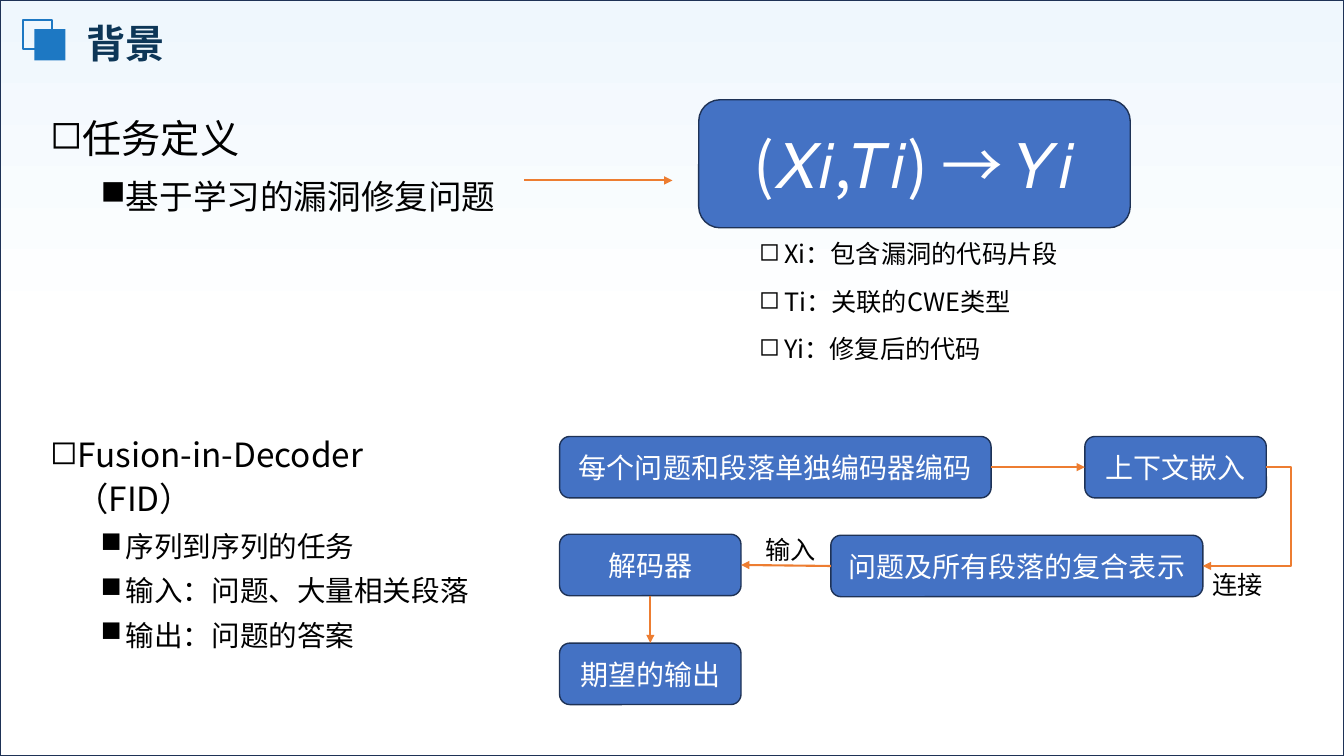
from dataclasses import dataclass

from lxml.etree import SubElement
from pptx import Presentation
from pptx.dml.color import RGBColor
from pptx.enum.shapes import MSO_CONNECTOR, MSO_SHAPE
from pptx.enum.text import MSO_ANCHOR, MSO_AUTO_SIZE, PP_ALIGN
from pptx.oxml.ns import qn
from pptx.util import Inches, Pt

FONT = "Noto Sans CJK SC"
NAVY, BLUE, FILL, RUST = "1E3256", "1D78C3", "4472C4", "ED7D31"


@dataclass
class Box:
    left: float
    top: float
    width: float
    height: float


@dataclass
class Node:
    name: str
    text: str
    box: Box
    size: float = 20


@dataclass
class Link:
    start: str
    exit: int
    end: str
    entry: int
    bend: float = 0


@dataclass
class Item:
    text: str
    size: float
    level: int = 0


@dataclass
class Group:
    box: Box
    lead: float
    items: list[Item]
    inset: float = 0.1


NODES = [
    Node("task", "(𝑋𝑖,𝑇𝑖) → 𝑌𝑖", Box(6.93, 0.99, 4.28, 1.27), 44),
    Node("coder", "每个问题和段落单独编码器编码", Box(5.55, 4.33, 4.28, 0.61)),
    Node("embed", "上下文嵌入", Box(10.76, 4.33, 1.8, 0.61)),
    Node("fusion", "问题及所有段落的复合表示", Box(8.24, 5.31, 3.69, 0.61)),
    Node("reader", "解码器", Box(5.55, 5.3, 1.8, 0.61)),
    Node("output", "期望的输出", Box(5.55, 6.38, 1.8, 0.61)),
]
LINKS = [
    Link("coder", 3, "embed", 1),
    Link("embed", 3, "fusion", 3, -0.39),
    Link("fusion", 1, "reader", 3),
    Link("reader", 2, "output", 0),
]
GROUPS = [
    Group(Box(0.4, 0.99, 4.64, 1.43), 1.2, [
        Item("任务定义", 28),
        Item("基于学习的漏洞修复问题", 24, 1),
    ]),
    Group(Box(7.43, 2.29, 3.26, 1.37), 1.1, [
        Item("Xi：包含漏洞的代码片段", 18),
        Item("Ti：关联的CWE类型", 18),
        Item("Yi：修复后的代码", 18),
    ]),
    Group(Box(0.4, 4.22, 4.64, 2.03), 1.1, [
        Item("Fusion-in-Decoder（FID）", 23.8),
        Item("序列到序列的任务", 20.4, 1),
        Item("输入：问题、大量相关段落", 20.4, 1),
        Item("输出：问题的答案", 20.4, 1),
    ], inset=0.3),
]
LABELS = [("连接", Box(11.93, 5.6, 0.71, 0.4)), ("输入", Box(7.49, 5.25, 0.71, 0.4))]


def tint(code: str) -> RGBColor:
    return RGBColor.from_string(code)


def place(box: Box) -> list:
    return [Inches(x) for x in (box.left, box.top, box.width, box.height)]


def write(para, text: str, *, size: float, color: str = "000000", bold: bool = False,
          align=None, lead: float | None = None) -> None:
    run = para.add_run()
    run.text = text
    font = run.font
    font.size, font.name, font.bold = Pt(size), FONT, bold
    font.color.rgb = tint(color)
    SubElement(run._r.get_or_add_rPr(), qn("a:ea"), typeface=FONT)
    para.alignment = align
    para.line_spacing = lead


def draw(slide, kind, box: Box, *, fill: str | None = None, line: str | None = None,
         weight: float = 1):
    shape = slide.shapes.add_shape(kind, *place(box))
    shape.shadow.inherit = False
    if fill:
        shape.fill.solid()
        shape.fill.fore_color.rgb = tint(fill)
    else:
        shape.fill.background()
    if line:
        shape.line.color.rgb = tint(line)
        shape.line.width = Pt(weight)
    else:
        shape.line.fill.background()
    return shape


def frame(slide, box: Box, wrap: bool = True):
    body = slide.shapes.add_textbox(*place(box)).text_frame
    body.word_wrap = wrap
    return body


def shade(slide) -> None:
    fill = draw(slide, MSO_SHAPE.RECTANGLE, Box(0, 0, 13.33, 7.5), line=NAVY).fill
    fill.gradient()
    fill.gradient_angle = 270
    for stop, color, spot in zip(fill.gradient_stops, ("EFF7FD", "FFFFFF"), (0, 0.44)):
        stop.color.rgb = tint(color)
        stop.position = spot


def head(slide) -> None:
    draw(slide, MSO_SHAPE.RECTANGLE, Box(0.23, 0.2, 0.29, 0.29), line=BLUE, weight=1.5)
    draw(slide, MSO_SHAPE.RECTANGLE, Box(0.34, 0.29, 0.31, 0.31), fill=BLUE)
    body = frame(slide, Box(0.76, 0.16, 10.66, 0.58))
    body.vertical_anchor = MSO_ANCHOR.MIDDLE
    write(body.paragraphs[0], "背景", size=28, color="0D3657", bold=True, lead=0.9)


def outline(slide, group: Group) -> None:
    body = frame(slide, group.box)
    body.margin_right = Inches(group.inset)
    for rank, item in enumerate(group.items):
        para = body.add_paragraph() if rank else body.paragraphs[0]
        write(para, item.text, size=item.size, lead=group.lead)
        para.level = item.level
        para.space_before = Pt(5 if item.level else 10)
        props = para._p.get_or_add_pPr()
        props.set("marL", str(Inches(0.25 + 0.5 * item.level)))
        props.set("indent", str(Inches(-0.25)))
        SubElement(props, qn("a:buChar"), char="◻■"[item.level])


def block(slide, node: Node):
    shape = draw(slide, MSO_SHAPE.ROUNDED_RECTANGLE, node.box, fill=FILL, line=NAVY)
    body = shape.text_frame
    body.word_wrap = True
    body.vertical_anchor = MSO_ANCHOR.MIDDLE
    write(body.paragraphs[0], node.text, size=node.size, color="FFFFFF",
          align=PP_ALIGN.CENTER)
    return shape


def arrow(slide, kind=MSO_CONNECTOR.STRAIGHT, ends=(0, 0, 0, 0)):
    line = slide.shapes.add_connector(kind, *[Inches(x) for x in ends])
    line.line.color.rgb = tint(RUST)
    line.line.width = Pt(1.5)
    SubElement(line.line._get_or_add_ln(), qn("a:tailEnd"), type="triangle")
    SubElement(line._element.spPr, qn("a:effectLst"))
    return line


def join(slide, link: Link, shapes: dict) -> None:
    kind = MSO_CONNECTOR.ELBOW if link.bend else MSO_CONNECTOR.STRAIGHT
    line = arrow(slide, kind)
    line.begin_connect(shapes[link.start], link.exit)
    line.end_connect(shapes[link.end], link.entry)
    if link.bend:
        guides = line._element.spPr.find(qn("a:prstGeom")).find(qn("a:avLst"))
        SubElement(guides, qn("a:gd"), name="adj1", fmla=f"val {round(link.bend * 100000)}")


def main() -> None:
    deck = Presentation()
    deck.slide_width, deck.slide_height = Inches(13.33), Inches(7.5)
    slide = deck.slides.add_slide(deck.slide_layouts[6])
    shade(slide)
    head(slide)
    for group in GROUPS:
        outline(slide, group)
    shapes = {node.name: block(slide, node) for node in NODES}
    arrow(slide, ends=(5.2, 1.79, 6.67, 1.79))
    for link in LINKS:
        join(slide, link, shapes)
    for text, box in LABELS:
        body = frame(slide, box, wrap=False)
        body.auto_size = MSO_AUTO_SIZE.SHAPE_TO_FIT_TEXT
        write(body.paragraphs[0], text, size=18)
    deck.save("out.pptx")


if __name__ == "__main__":
    main()
